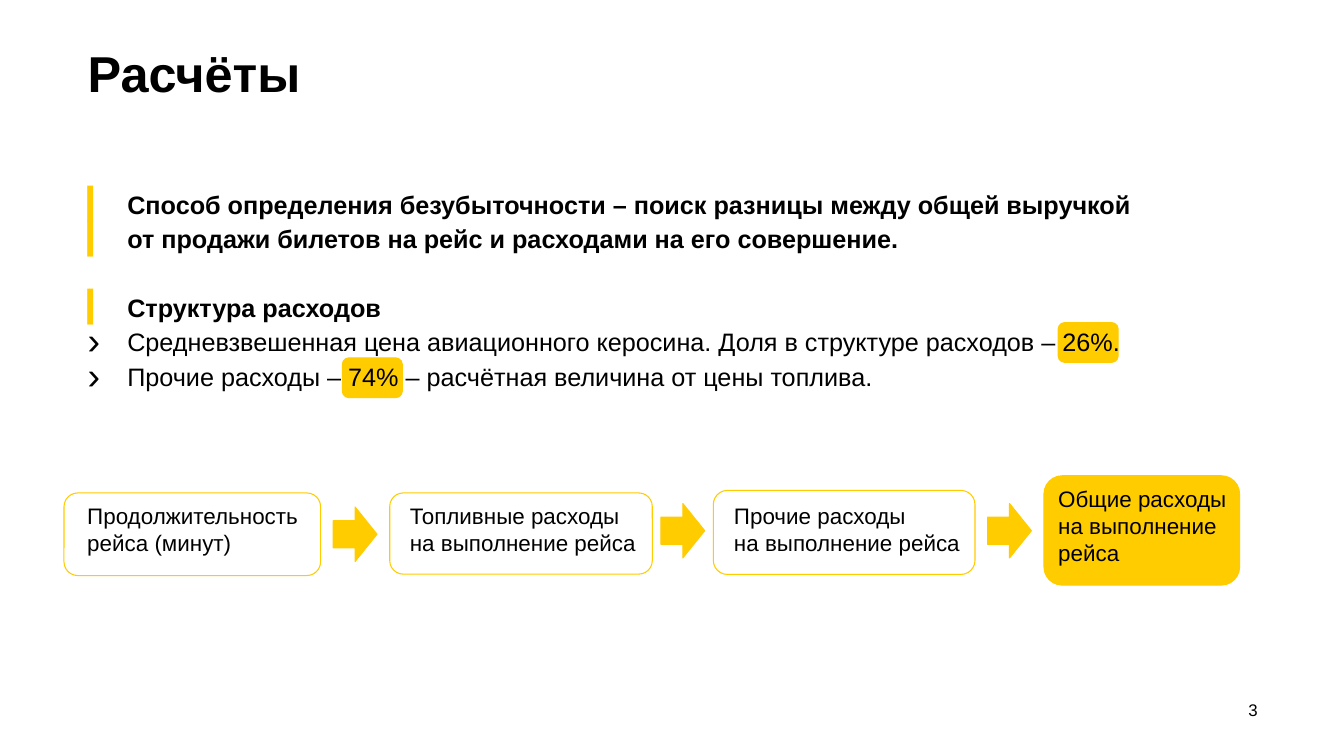
from dataclasses import dataclass

from lxml.etree import SubElement
from pptx import Presentation
from pptx.dml.color import RGBColor
from pptx.enum.shapes import MSO_SHAPE
from pptx.enum.text import MSO_ANCHOR, PP_ALIGN
from pptx.oxml.ns import qn
from pptx.util import Pt


@dataclass(frozen=True)
class Theme:
    font: str = "Arial"
    ink: RGBColor = RGBColor(0, 0, 0)
    accent: RGBColor = RGBColor(0xFF, 0xCC, 0)
    title: int = 72
    body: int = 36
    step: int = 32
    number: int = 24
    line: float = 1.5


THEME = Theme()

# Body lines: text, is a heading, space before
BODY = [
    ("Способ определения безубыточности – поиск разницы между общей выручкой", True, 0),
    ("от продажи билетов на рейс и расходами на его совершение.", True, 0),
    ("Структура расходов", True, 49),
    ("Средневзвешенная цена авиационного керосина. Доля в структуре расходов – 26%.", False, 0),
    ("Прочие расходы – 74% – расчётная величина от цены топлива.", False, 0),
]

# Flow steps: text, box, text box, filled
STEPS = [
    ("Продолжительность\nрейса (минут)",
     (91.4, 704.2, 366.5, 118), (124.6, 717, 330, 82), False),
    ("Топливные расходы\nна выполнение рейса",
     (556.6, 704.2, 375, 116), (585.4, 717, 340, 82), False),
    ("Прочие расходы\nна выполнение рейса",
     (1018.8, 700.6, 373.7, 120), (1048.3, 717, 340, 82), False),
    ("Общие расходы\nна выполнение\nрейса",
     (1491, 679.7, 279.4, 156.2), (1511.3, 693.4, 265, 129), True),
]
ARROWS = [(475.9, 724.3), (943.9, 719.3), (1410.5, 719.3)]
HIGHLIGHTS = [(488.9, 511.2), (1511.3, 460.8)]


def add_block(s, kind, box, filled=True):
    sp = s.shapes.add_shape(kind, *map(Pt, box))
    sp.shadow.inherit = False
    if filled:
        sp.fill.solid()
        sp.fill.fore_color.rgb = THEME.accent
    else:
        sp.fill.background()
    sp.line.color.rgb = THEME.accent
    sp.line.width = Pt(THEME.line)


def style(p, size, bold=False):
    for r in p.runs:
        r.font.name = THEME.font
        r.font.size = Pt(size)
        r.font.bold = bold
        r.font.color.rgb = THEME.ink


def add_text(s, text, box, size, bold=False, top=0,
             anchor=MSO_ANCHOR.TOP, align=PP_ALIGN.LEFT):
    tf = s.shapes.add_textbox(*map(Pt, box)).text_frame
    tf.margin_left = tf.margin_right = tf.margin_bottom = 0
    tf.margin_top = Pt(top)
    tf.word_wrap = True
    tf.vertical_anchor = anchor
    tf.text = text
    for p in tf.paragraphs:
        p.alignment = align
        style(p, size, bold)
    return tf


def set_bullet(p, char, percent, color=None):
    pPr = p._p.get_or_add_pPr()
    pPr.set("marL", str(Pt(56.5)))
    pPr.set("indent", str(-Pt(56.5)))
    if color is not None:
        SubElement(SubElement(pPr, qn("a:buClr")), qn("a:srgbClr"), val=str(color))
    SubElement(pPr, qn("a:buSzPct"), val=str(percent * 1000))
    SubElement(pPr, qn("a:buFont"), typeface=THEME.font)
    SubElement(pPr, qn("a:buChar"), char=char)


def add_body(s):
    text = "\n".join(line for line, _, _ in BODY)
    tf = add_text(s, text, (125.3, 270, 1671, 326), THEME.body)
    for p, (_, heading, before) in zip(tf.paragraphs, BODY):
        p.space_before = Pt(before)
        p.space_after = Pt(6)
        style(p, THEME.body, heading)
        if heading:
            set_bullet(p, "▎", 120, THEME.accent)
        else:
            set_bullet(p, "›", 150)


def add_flow(s):
    for text, box, text_box, filled in STEPS:
        add_block(s, MSO_SHAPE.ROUNDED_RECTANGLE, box, filled)
        add_text(s, text, text_box, THEME.step)
    for x, y in ARROWS:
        add_block(s, MSO_SHAPE.RIGHT_ARROW, (x, y, 62.6, 77.8))


def main():
    prs = Presentation()
    prs.slide_width, prs.slide_height = Pt(1919.5), Pt(1080)
    s = prs.slides.add_slide(prs.slide_layouts[6])

    # Highlights behind the percentages
    for x, y in HIGHLIGHTS:
        add_block(s, MSO_SHAPE.ROUNDED_RECTANGLE, (x, y, 85.7, 56.9))

    # Title, body and page number
    add_text(s, "Расчёты", (125.3, 43.2, 1671.8, 114.5), THEME.title, bold=True,
             top=4.4, anchor=MSO_ANCHOR.MIDDLE)
    add_body(s)
    add_text(s, "3", (1710, 993.6, 86.4, 34.6), THEME.number, top=5.8,
             anchor=MSO_ANCHOR.MIDDLE, align=PP_ALIGN.RIGHT)

    # Calculation flow
    add_flow(s)
    prs.save("out.pptx")


if __name__ == "__main__":
    main()
